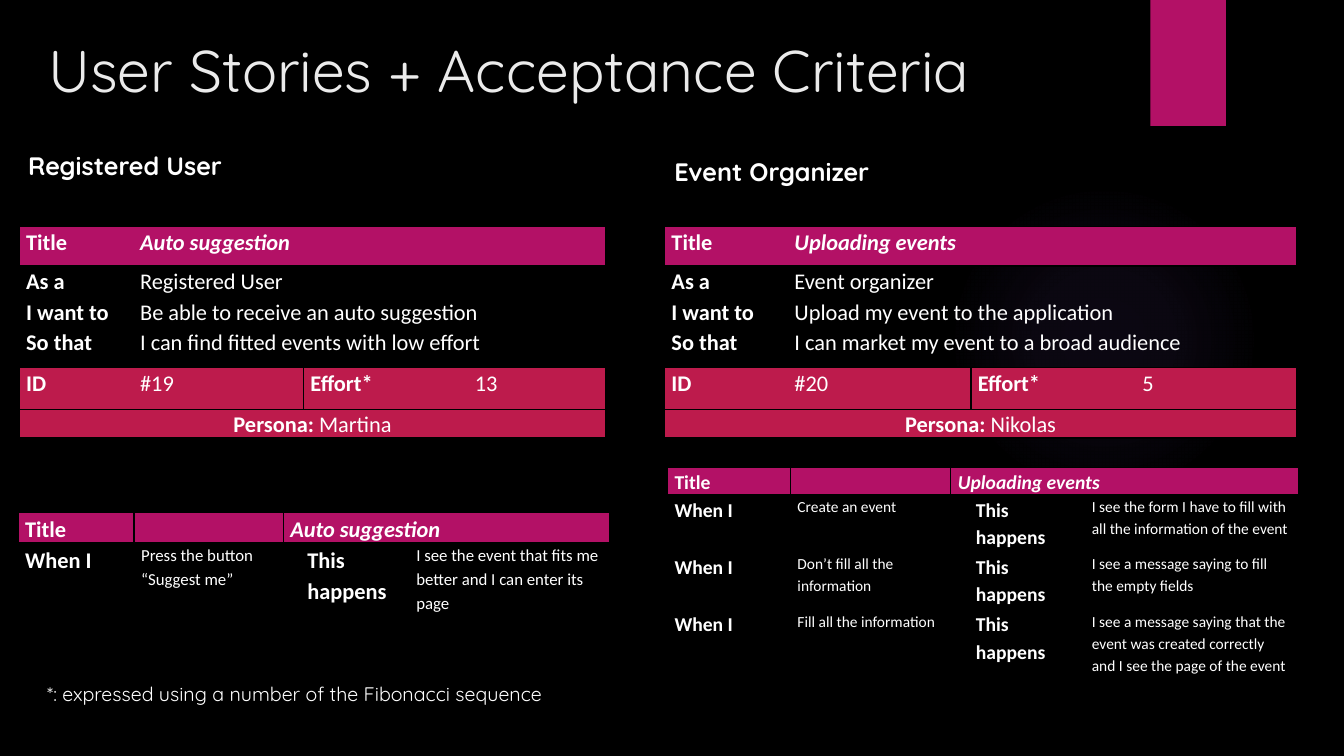
from lxml import etree
from pptx import Presentation
from pptx.dml.color import RGBColor
from pptx.enum.shapes import MSO_SHAPE
from pptx.enum.text import MSO_ANCHOR, PP_ALIGN
from pptx.oxml import parse_xml
from pptx.oxml.ns import nsdecls, qn
from pptx.util import Inches, Pt

RECTANGLE, OVAL = MSO_SHAPE.RECTANGLE, MSO_SHAPE.OVAL
LEFT, CENTER = PP_ALIGN.LEFT, PP_ALIGN.CENTER
MIDDLE = MSO_ANCHOR.MIDDLE
COLORS = {"black": "000000", "white": "FFFFFF", "title": "EBEBEB",
          "magenta": "B31166", "crimson": "BD1B4C", "glow": "9B6BF2"}
PLAIN_TABLE = "{2D5ABB26-0587-4C30-8999-92F81FD0307C}"
EFFORT_TAB = Inches(1.63)
STORY_ROWS = [0.39, 0.31, 0.3, 0.4, 0.41, 0.25]

# Each story: box, column widths, table texts
STORIES = [
    ((0.19, 2.25, 5.83, 2.08), [1.13, 1.69, 3],
     ["Auto suggestion", "Registered User", "Be able to receive an auto suggestion",
      "I can find fitted events with low effort"], "#19", "13", "Martina"),
    ((6.59, 2.25, 6.26, 2.08), [1.22, 1.82, 3.23],
     ["Uploading events", "Event organizer", "Upload my event to the application",
      "I can market my event to a broad audience"], "#20", "5", "Nikolas"),
]
# Each set of criteria: box, columns, rows, label size, detail size, title, steps
CRITERIA = [
    ((0.18, 5.08, 5.86, 0.99), [1.15, 1.48, 0.17, 1.08, 1.99], [0.18, 0.7], 16, 12,
     "Auto suggestion",
     [("Press the button “Suggest me”",
       "I see the event that fits me better and I can enter its page")]),
    ((6.62, 4.64, 6.26, 2.08), [1.22, 1.59, 0.18, 1.15, 2.12],
     [0.27, 0.57, 0.57, 0.67], 14, 11, "Uploading events",
     [("Create an event",
       "I see the form I have to fill with all the information of the event"),
      ("Don’t fill all the information",
       "I see a message saying to fill the empty fields"),
      ("Fill all the information",
       "I see a message saying that the event was created correctly "
       "and I see the page of the event")]),
]


def rgb(name):
    return RGBColor.from_string(COLORS[name])


def style_font(font, size, color="white", face="Quicksand", bold=False, italic=False):
    font.name, font.size = face, Pt(size)
    font.bold, font.italic = bold, italic
    font.color.rgb = rgb(color)


def add_plain_shape(page, kind, box):
    shape = page.shapes.add_shape(kind, *map(Inches, box))
    shape.shadow.inherit = False
    shape.line.fill.background()
    return shape


def add_backdrop(page):
    page.background.fill.solid()
    page.background.fill.fore_color.rgb = rgb("black")
    glow = add_plain_shape(page, OVAL, (9.41, 1.83, 3.08, 3.08))
    stops = "".join(
        f'<a:gs pos="{place * 1000}"><a:srgbClr val="{COLORS["glow"]}">'
        f'<a:alpha val="{alpha * 1000}"/></a:srgbClr></a:gs>'
        for place, alpha in [(0, 7), (36, 6), (69, 0)])
    glow.element.spPr.find(qn("a:prstGeom")).addnext(parse_xml(
        f'<a:gradFill {nsdecls("a")}><a:gsLst>{stops}</a:gsLst><a:path path="circle">'
        '<a:fillToRect l="50000" t="50000" r="50000" b="50000"/></a:path></a:gradFill>'))
    flag = add_plain_shape(page, RECTANGLE, (11.41, 0, 0.75, 1.25))
    flag.fill.solid()
    flag.fill.fore_color.rgb = rgb("magenta")


def add_title(page, box, text):
    title = page.shapes.title
    title.left, title.top, title.width, title.height = map(Inches, box)
    title.text_frame.text = text
    title.text_frame.vertical_anchor = MIDDLE
    para = title.text_frame.paragraphs[0]
    para.alignment = LEFT
    style_font(para.runs[0].font, 42, "title")


def add_label(page, box, text, size, bold=False):
    label = page.shapes.add_textbox(*map(Inches, box))
    label.text_frame.word_wrap = True
    label.text_frame.text = text
    style_font(label.text_frame.paragraphs[0].runs[0].font, size, bold=bold)


def add_plain_table(page, box, columns, rows):
    frame = page.shapes.add_table(len(rows), len(columns), *map(Inches, box))
    table = frame.table
    frame.element.find(".//" + qn("a:tableStyleId")).text = PLAIN_TABLE
    table.first_row = table.horz_banding = False
    for column, width in zip(table.columns, columns):
        column.width = Inches(width)
    for row, height in zip(table.rows, rows):
        row.height = Inches(height)
    return table


def write_cell(cell, spans, size, spacing, after=0, fill=None, sides="LRTB"):
    """Write (text, style) spans; style holds b for bold and i for italic."""
    cell.margin_left = cell.margin_right = Inches(0.07)
    cell.margin_top = cell.margin_bottom = 0
    para = cell.text_frame.paragraphs[0]
    para.line_spacing, para.space_after = spacing, Pt(after)
    for text, style in spans:
        span = para.add_run()
        span.text = text
        style_font(span.font, size, face="Calibri", bold="b" in style, italic="i" in style)
    if not spans:
        etree.SubElement(para._p, qn("a:endParaRPr"), sz=str(size * 100))
    if fill:
        cell.fill.solid()
        cell.fill.fore_color.rgb = rgb(fill)
    else:
        cell.fill.background()
    properties = cell._tc.get_or_add_tcPr()
    for index, side in enumerate(sides):
        properties.insert(index, parse_xml(
            f'<a:ln{side} {nsdecls("a")} w="12700"><a:solidFill>'
            f'<a:srgbClr val="{COLORS["black"]}"/></a:solidFill></a:ln{side}>'))
    return para


def add_story(page, box, columns, answers, number, effort, persona):
    table = add_plain_table(page, box, columns, STORY_ROWS)

    def write(row, column, spans, fill=None, sides=""):
        return write_cell(table.cell(row, column), spans, 16, 1.07, 8, fill, sides)

    for row, (label, answer) in enumerate(zip(["Title", "As a", "I want to", "So that"], answers)):
        table.cell(row, 1).merge(table.cell(row, 2))
        header = row == 0
        fill = "magenta" if header else None
        write(row, 0, [(label, "b")], fill, "LTB" if header else "")
        write(row, 1, [(answer, "bi" if header else "")], fill, "RTB" if header else "")
    write(4, 0, [("ID", "b")], "crimson", "LTB")
    write(4, 1, [(number, "")], "crimson", "RTB")
    para = write(4, 2, [("Effort*\t", "b"), (effort, "")], "crimson", "LRTB")
    tabs = etree.SubElement(para._p.get_or_add_pPr(), qn("a:tabLst"))
    etree.SubElement(tabs, qn("a:tab"), pos=str(EFFORT_TAB), algn="l")
    table.cell(5, 0).merge(table.cell(5, 2))
    para = write(5, 0, [("Persona: ", "b"), (persona, "")], "crimson", "LRTB")
    para.alignment = CENTER


def add_criteria(page, box, columns, rows, label_size, detail_size, title, steps):
    table = add_plain_table(page, box, columns, rows)
    table.cell(0, 2).merge(table.cell(0, 4))
    header = [([("Title", "b")], "LRTB"), ([], "LTB"), ([(title, "bi")], "RTB")]
    for column, (spans, sides) in enumerate(header):
        write_cell(table.cell(0, column), spans, label_size, 1.15, 0, "magenta", sides)
    for row, (action, outcome) in enumerate(steps, 1):
        table.cell(row, 1).merge(table.cell(row, 2))
        for column, text in [(0, "When I"), (3, "This happens")]:
            write_cell(table.cell(row, column), [(text, "b")], label_size, 1.15)
        for column, text in [(1, action), (4, outcome)]:
            write_cell(table.cell(row, column), [(text, "")], detail_size, 1.15)


def main():
    deck = Presentation()
    deck.slide_width, deck.slide_height = Inches(13.33), Inches(7.5)
    page = deck.slides.add_slide(deck.slide_layouts[5])
    add_backdrop(page)
    add_title(page, (0.38, 0.21, 10.29, 0.95), "User Stories + Acceptance Criteria")
    add_label(page, (0.18, 1.44, 2.49, 0.4), "Registered User", 18, bold=True)
    add_label(page, (6.59, 1.5, 2.49, 0.4), "Event Organizer", 18, bold=True)
    for story in STORIES:
        add_story(page, *story)
    for criteria in CRITERIA:
        add_criteria(page, *criteria)
    add_label(page, (0.37, 6.72, 5.47, 0.34),
              "*: expressed using a number of the Fibonacci sequence", 14)
    deck.save("out.pptx")


if __name__ == "__main__":
    main()
